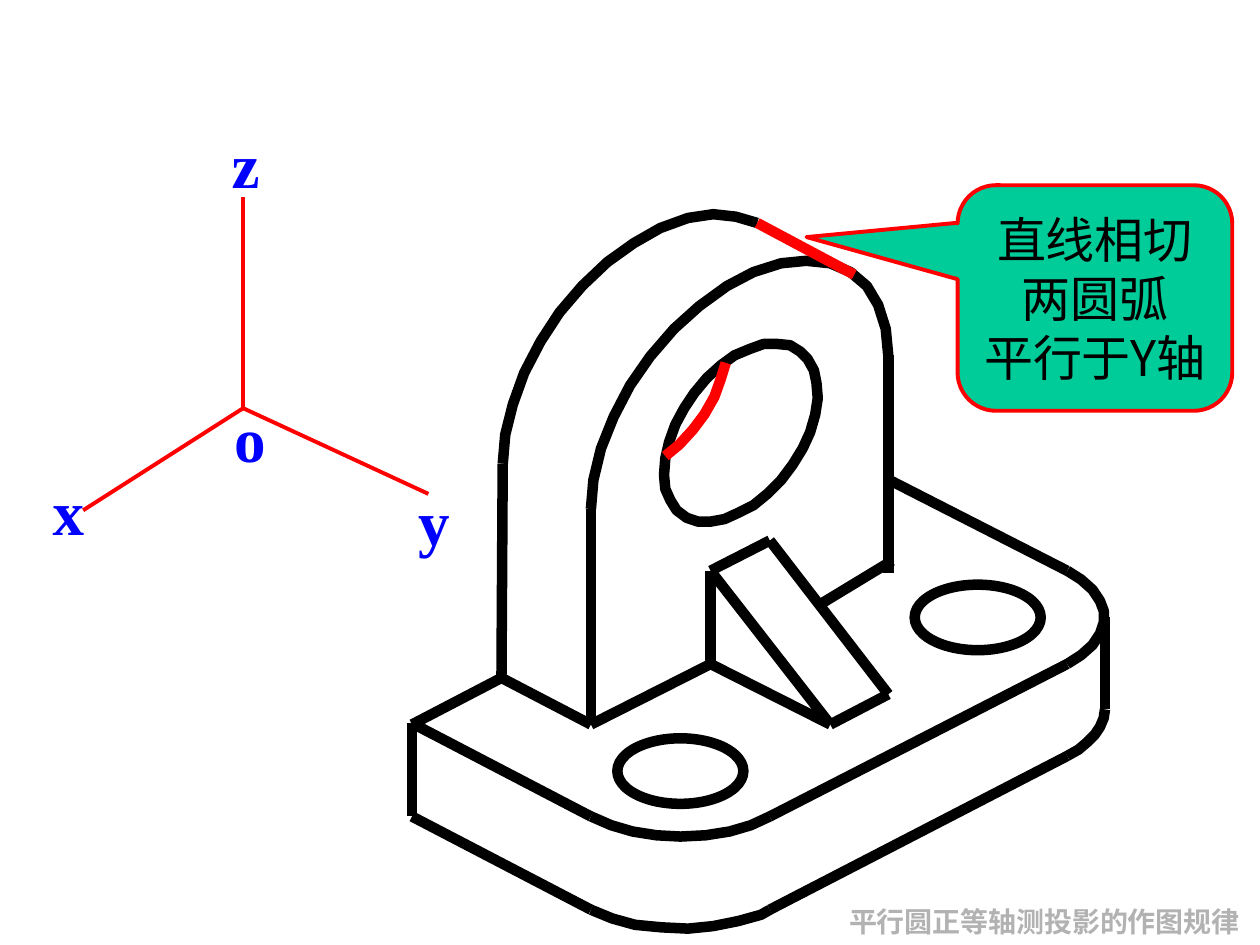
from dataclasses import dataclass

from lxml.etree import SubElement
from pptx import Presentation
from pptx.dml.color import RGBColor
from pptx.enum.shapes import MSO_CONNECTOR as Connector, MSO_SHAPE as Preset
from pptx.enum.text import MSO_ANCHOR as Anchor, MSO_AUTO_SIZE as AutoSize, PP_ALIGN as Align
from pptx.oxml.ns import qn
from pptx.shapes.shapetree import GroupShapes
from pptx.util import Inches, Pt

# All lengths are columns and rows of a grid with cells of 0.01 inch.
CELL = Inches(0.01)
COLUMNS, ROWS = 1000, 750
Point = tuple[int, int]


@dataclass(frozen=True)
class Theme:
    ink: RGBColor = RGBColor(0, 0, 0)
    accent: RGBColor = RGBColor(255, 0, 0)
    axis_label: RGBColor = RGBColor(0, 0, 255)
    callout: RGBColor = RGBColor(0, 0xCC, 0x99)
    caption: RGBColor = RGBColor(0xB2, 0xB2, 0xB2)
    edge_width: float = 6
    thin_width: float = 2.25
    label_size: int = 36
    callout_size: int = 28
    caption_size: int = 16
    latin: str = "Times New Roman"
    chinese: str = "Noto Sans CJK SC"


THEME = Theme()


@dataclass(frozen=True)
class Edge:
    start: Point
    end: Point
    color: RGBColor = THEME.ink
    width: float = THEME.edge_width


@dataclass(frozen=True)
class Curve:
    points: tuple[Point, ...]
    closed: bool = False
    color: RGBColor = THEME.ink


@dataclass(frozen=True)
class Label:
    text: str
    left: int
    top: int
    width: int
    height: int
    size: int
    color: RGBColor
    align: Align = Align.LEFT


BASE_EDGES = (
    Edge((327, 575), (398, 538)),
    Edge((704, 380), (847, 453)),
    Edge((847, 527), (611, 648)),
    Edge((469, 648), (327, 574)),
    Edge((469, 722), (327, 648)),
    Edge((847, 600), (611, 722)),
    Edge((327, 574), (327, 648)),
    Edge((877, 563), (877, 490)),
)
UPRIGHT_EDGES = (
    Edge((469, 575), (564, 527)),
    Edge((469, 575), (398, 538)),
    Edge((652, 479), (708, 445)),
    Edge((469, 404), (469, 575)),
    Edge((399, 368), (398, 538)),
    Edge((705, 282), (705, 455)),
)
RIB_EDGES = (
    Edge((564, 527), (659, 575)),
    Edge((659, 575), (705, 551)),
    Edge((564, 453), (611, 429)),
    Edge((611, 429), (705, 551)),
    Edge((564, 453), (659, 575)),
    Edge((564, 453), (564, 527)),
)
TANGENT = Edge((678, 218), (601, 177), THEME.accent)

BASE_CORNERS = (
    Curve(((847, 527), (858, 520), (867, 512), (873, 503), (876, 494), (876, 485),
           (873, 477), (867, 468), (858, 460), (847, 453))),
    Curve(((469, 648), (485, 655), (502, 660), (521, 663), (540, 664), (560, 663),
           (579, 660), (596, 655), (611, 648))),
    Curve(((469, 722), (486, 729), (504, 734), (525, 736), (546, 737), (566, 735),
           (586, 731), (604, 726), (611, 722))),
    Curve(((847, 600), (856, 595), (863, 589), (869, 583), (873, 577), (876, 570),
           (877, 563))),
)
UPRIGHT_CURVES = (
    Curve(((705, 282), (703, 261), (697, 242), (688, 227), (675, 216), (659, 209),
           (640, 207), (620, 209), (598, 216), (577, 227), (555, 243), (535, 261),
           (516, 283), (500, 306), (487, 331), (477, 356), (471, 381), (469, 404))),
    Curve(((601, 177), (584, 172), (566, 170), (546, 173), (524, 181), (503, 193),
           (482, 208), (462, 227), (444, 248), (429, 271), (416, 296), (407, 321),
           (401, 345), (399, 368))),
    Curve(((545, 411), (554, 414), (564, 414), (575, 412), (586, 407), (598, 401),
           (609, 392), (620, 381), (629, 369), (637, 356), (643, 343), (647, 329),
           (649, 316), (648, 304), (646, 294), (641, 285), (635, 279), (627, 274),
           (617, 273), (606, 273), (595, 277), (583, 282), (572, 290), (561, 300),
           (551, 312), (543, 324), (536, 337), (531, 351), (528, 364), (527, 377),
           (528, 388), (532, 397), (537, 405)), closed=True),
    Curve(((528, 362), (539, 353), (550, 341), (559, 329), (567, 315), (572, 301),
           (576, 288)), color=THEME.accent),
)
HOLE_SIZE = (100, 52)
HOLE_CORNERS = ((490, 586), (726, 464))

ORIGIN = (193, 324)
AXES = tuple(Edge(ORIGIN, end, THEME.accent, THEME.thin_width)
             for end in ((66, 405), (193, 156), (340, 392)))
AXIS_LABELS = tuple(
    Label(name, left, top, width, 70, THEME.label_size, THEME.axis_label)
    for name, left, top, width in (
        ("o", 176, 312, 45), ("x", 32, 370, 45), ("y", 322, 378, 45), ("z", 174, 95, 42)))
CAPTION = Label("平行圆正等轴测投影的作图规律", 664, 713, 330, 37,
                THEME.caption_size, THEME.caption, Align.CENTER)
CALLOUT_LINES = ("直线相切", "两圆弧", "平行于Y轴")


def cells(*counts: int) -> list[int]:
    return [count * CELL for count in counts]


def style_line(line, color: RGBColor, width: float) -> None:
    line.color.rgb = color
    line.width = Pt(width)


def draw_edge(shapes: GroupShapes, edge: Edge) -> None:
    line = shapes.add_connector(Connector.STRAIGHT, *cells(*edge.start, *edge.end))
    style_line(line.line, edge.color, edge.width)
    SubElement(line._element.spPr, qn("a:effectLst"))


def style_outline(shape, color: RGBColor) -> None:
    shape.shadow.inherit = False
    shape.fill.background()
    style_line(shape.line, color, THEME.edge_width)


def draw_curve(shapes: GroupShapes, curve: Curve) -> None:
    builder = shapes.build_freeform(*curve.points[0], scale=CELL)
    builder.add_line_segments(curve.points[1:], close=curve.closed)
    style_outline(builder.convert_to_shape(), curve.color)


def draw_label(shapes: GroupShapes, label: Label) -> None:
    box = shapes.add_textbox(*cells(label.left, label.top, label.width, label.height))
    frame = box.text_frame
    frame.word_wrap = False
    frame.auto_size = AutoSize.SHAPE_TO_FIT_TEXT
    para = frame.paragraphs[0]
    para.text, para.alignment = label.text, label.align
    font = para.font
    font.name, font.size, font.bold = THEME.latin, Pt(label.size), True
    font.color.rgb = label.color


def draw_callout(shapes: GroupShapes) -> None:
    callout = shapes.add_shape(Preset.ROUNDED_RECTANGULAR_CALLOUT, *cells(760, 147, 218, 179))
    for index, value in enumerate((-1.05, -0.27, 0.17)):
        callout.adjustments[index] = value
    callout.shadow.inherit = False
    callout.fill.solid()
    callout.fill.fore_color.rgb = THEME.callout
    style_line(callout.line, THEME.accent, THEME.thin_width)
    frame = callout.text_frame
    frame.word_wrap = False
    frame.vertical_anchor = Anchor.MIDDLE
    frame.text = "\n".join(CALLOUT_LINES)
    for para in frame.paragraphs:
        para.alignment = Align.CENTER
        para.font.name, para.font.size = THEME.chinese, Pt(THEME.callout_size)
        para.font.color.rgb = THEME.ink


def main() -> None:
    deck = Presentation()
    deck.slide_width, deck.slide_height = cells(COLUMNS, ROWS)
    page = deck.slides.add_slide(deck.slide_layouts[6])

    bracket = page.shapes.add_group_shape().shapes
    for curve in BASE_CORNERS + UPRIGHT_CURVES:
        draw_curve(bracket, curve)
    for corner in HOLE_CORNERS:
        hole = bracket.add_shape(Preset.OVAL, *cells(*corner, *HOLE_SIZE))
        style_outline(hole, THEME.ink)
    for edge in (*BASE_EDGES, *UPRIGHT_EDGES, *RIB_EDGES, TANGENT):
        draw_edge(bracket, edge)

    draw_label(page.shapes, CAPTION)
    draw_callout(page.shapes)

    axes = page.shapes.add_group_shape().shapes
    for axis in AXES:
        draw_edge(axes, axis)
    for label in AXIS_LABELS:
        draw_label(axes, label)

    deck.save("out.pptx")


if __name__ == "__main__":
    main()
